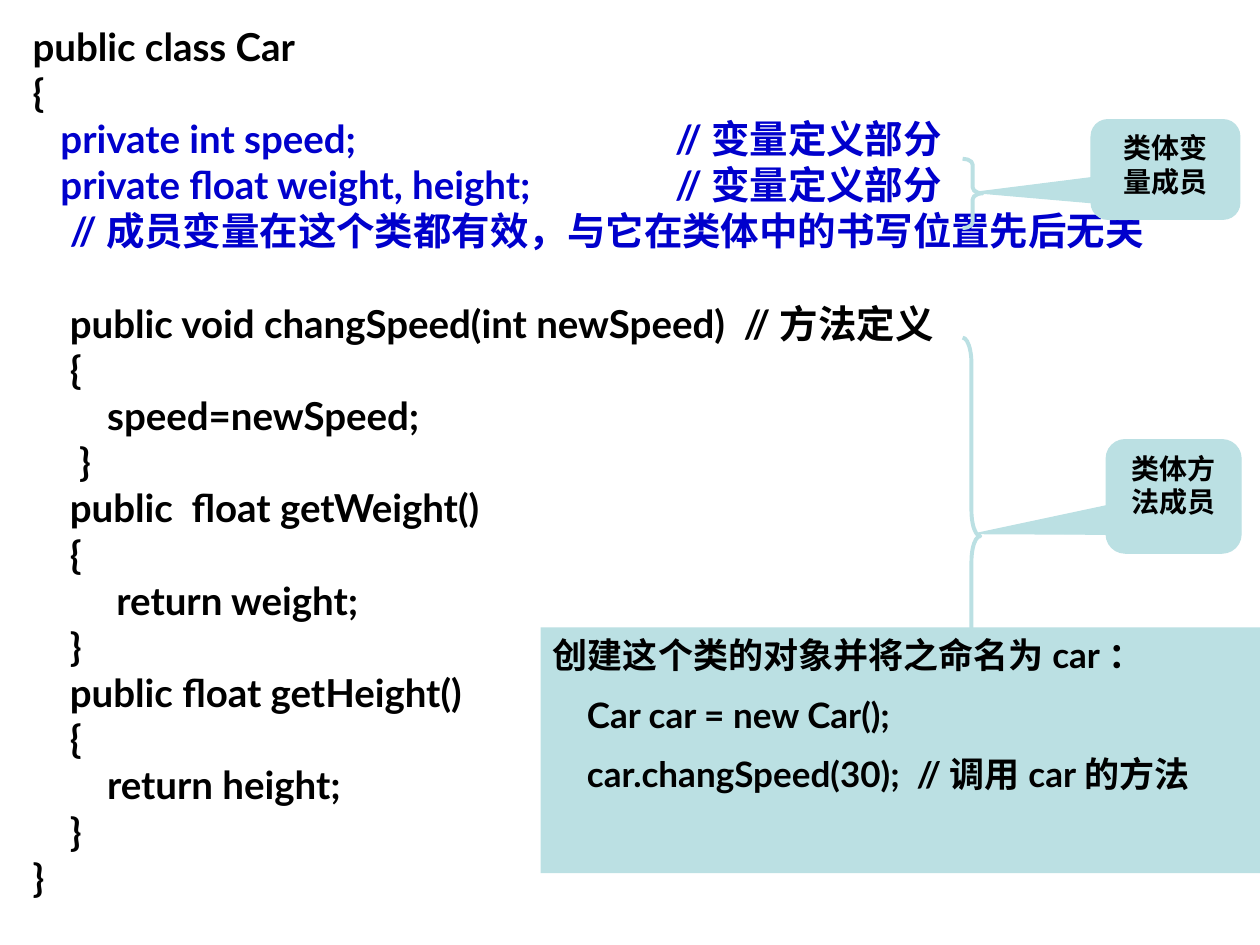
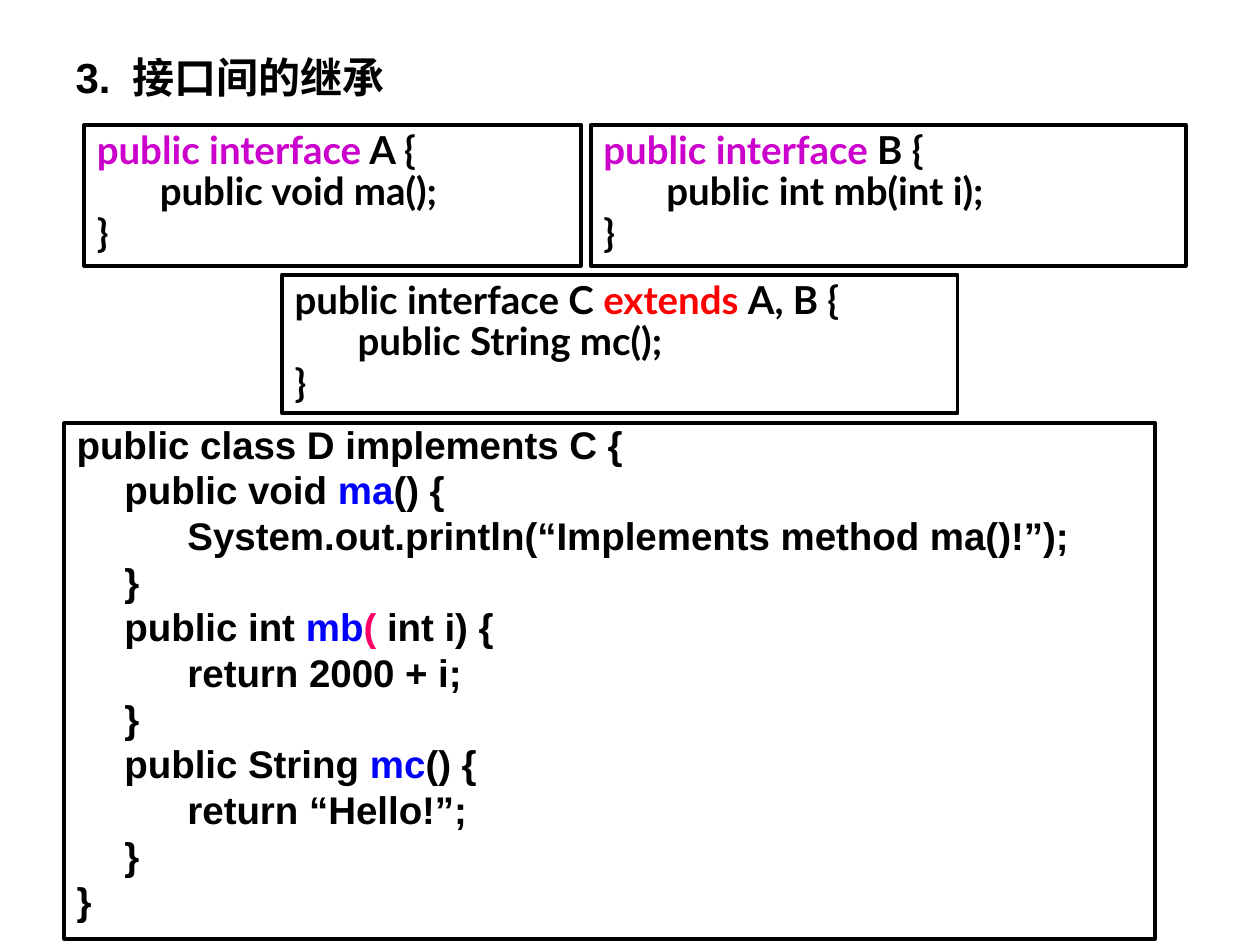
from lxml import etree
from pptx import Presentation
from pptx.dml.color import RGBColor
from pptx.enum.shapes import MSO_SHAPE as Preset
from pptx.enum.text import MSO_ANCHOR as Anchor, PP_ALIGN as Align
from pptx.oxml.ns import qn
from pptx.util import Inches, Pt

BLACK = RGBColor(0x00, 0x00, 0x00)
AQUA = RGBColor(0xBB, 0xE0, 0xE3)
NAVY = RGBColor(0x00, 0x00, 0xCC)
BLUE = RGBColor(0x00, 0x00, 0xFF)
PURPLE = RGBColor(0xCC, 0x00, 0xCC)
RED = RGBColor(0xFF, 0x00, 0x00)
PINK = RGBColor(0xFF, 0x00, 0x66)

LATO, ARIAL = "Lato", "Arial"
TITLE_ONLY, BLANK = 5, 6
COMMENT_TAB = 5.1
CODE_LINE = Pt(26.4)

CAR_FIELDS = [
    "   private int speed;\t//变量定义部分",
    "   private float weight, height;\t//变量定义部分",
    "    //成员变量在这个类都有效，与它在类体中的书写位置先后无关",
]
CAR_METHODS = [
    "    public void changSpeed(int newSpeed)  //方法定义",
    "    {",
    "        speed=newSpeed;",
    "     }",
    "    public  float getWeight()",
    "    {",
    "         return weight;",
    "    }",
    "    public float getHeight()",
    "    {",
    "        return height;",
    "    }",
    "}",
]
CAR_USAGE = [
    "创建这个类的对象并将之命名为car：",
    "    Car car = new Car();",
    "    car.changSpeed(30);  //调用car的方法",
]
CLASS_D = [
    "public class D implements C {",
    ["\tpublic void ", ("ma", BLUE), "() {"],
    "\t\tSystem.out.println(“Implements method ma()!”);",
    "\t}",
    ["\tpublic int ", ("mb", BLUE), ("( ", PINK), "int i) {"],
    "\t\treturn 2000 + i;",
    "\t}",
    ["\tpublic String ", ("mc", BLUE), "() {"],
    "\t\treturn “Hello!”;",
    "\t}",
    "}",
]


def inches(box):
    return [Inches(value) for value in box]


class Deck:
    def __init__(self):
        self.presentation = Presentation()
        self.presentation.slide_width = Inches(10)
        self.presentation.slide_height = Inches(7.5)
        self.slide = None

    def add_slide(self, layout):
        layouts = self.presentation.slide_layouts
        self.slide = self.presentation.slides.add_slide(layouts[layout])

    def fill_frame(self, frame, lines, size, font=LATO, anchor=Anchor.TOP,
                   indent=0, gap=0, **paragraph_format):
        """Set the text of a frame; a line is a string or a list of strings
        and (string, colour) pairs."""
        frame.word_wrap = True
        frame.vertical_anchor = anchor
        paragraph_format = {"alignment": Align.LEFT, **paragraph_format}
        for number, line in enumerate(lines):
            paragraph = frame.add_paragraph() if number else frame.paragraphs[0]
            if indent:
                properties = paragraph._p.get_or_add_pPr()
                properties.set("marL", str(Inches(indent)))
                properties.set("indent", str(-Inches(indent)))
            for name, value in paragraph_format.items():
                setattr(paragraph, name, value)
            if number and gap:
                paragraph.space_before = Pt(gap)
            for part in [line] if isinstance(line, (str, tuple)) else line:
                text, colour = (part, BLACK) if isinstance(part, str) else part
                run = paragraph.add_run()
                run.text = text
                style = {"name": font, "size": Pt(size), "bold": True}
                for name, value in style.items():
                    setattr(run.font, name, value)
                run.font.color.rgb = colour

    def title(self, box, text):
        title = self.slide.shapes.title
        title.left, title.top, title.width, title.height = inches(box)
        self.fill_frame(title.text_frame, [text], 24, ARIAL, Anchor.MIDDLE)

    def text(self, box, lines, size):
        frame = self.slide.shapes.add_textbox(*inches(box)).text_frame
        self.fill_frame(frame, lines, size)
        return frame

    def shape(self, preset, box, fill=None, line=None, width=2.25, adjustments=()):
        shape = self.slide.shapes.add_shape(preset, *inches(box))
        shape.shadow.inherit = False
        for index, value in enumerate(adjustments):
            shape.adjustments[index] = value
        if fill is None:
            shape.fill.background()
        else:
            shape.fill.solid()
            shape.fill.fore_color.rgb = fill
        if line is None:
            shape.line.fill.background()
        else:
            shape.line.color.rgb = line
            shape.line.width = Pt(width)
        return shape

    def callout(self, box, tip, lines):
        shape = self.shape(Preset.ROUNDED_RECTANGULAR_CALLOUT, box, AQUA, AQUA,
                           0.75, (*tip, 0.167))
        self.fill_frame(shape.text_frame, lines, 16, alignment=Align.CENTER)

    def brace(self, box, curve):
        self.shape(Preset.RIGHT_BRACE, box, line=AQUA, adjustments=(curve, 0.5))

    def code_box(self, box, lines, **text_format):
        shape = self.shape(Preset.RECTANGLE, box, line=BLACK)
        self.fill_frame(shape.text_frame, lines, 22, **text_format)

    def interface_box(self, box, heading, method):
        self.code_box(box, [heading, "\t" + method, "}"], line_spacing=0.9)


def add_tab_stop(paragraph, position):
    tabs = etree.SubElement(paragraph._p.get_or_add_pPr(), qn("a:tabLst"))
    etree.SubElement(tabs, qn("a:tab"), pos=str(Inches(position)), algn="l")


def build_car_slide(deck):
    deck.add_slide(BLANK)
    fields = [(line, NAVY) for line in CAR_FIELDS]
    code = ["public class Car", "{", *fields, *CAR_METHODS]
    paragraphs = deck.text((0.16, 0.13, 9.29, 7.2), code, 22).paragraphs
    for paragraph in paragraphs[2:4]:
        add_tab_stop(paragraph, COMMENT_TAB)
    paragraphs[-len(CAR_METHODS)].space_before = CODE_LINE

    deck.callout((8.78, 3.49, 1.07, 0.9), (-1.466, 0.328), ["类体方", "法成员"])
    deck.brace((7.64, 2.68, 0.14, 3.15), 1.454)
    deck.callout((8.66, 0.95, 1.18, 0.79), (-1.287, 0.231), ["类体变", "量成员"])
    deck.brace((7.64, 1.26, 0.16, 0.55), 0.294)

    usage = deck.shape(Preset.RECTANGLE, (4.29, 4.98, 5.87, 1.95), AQUA)
    deck.fill_frame(usage.text_frame, CAR_USAGE, 20, gap=10)


def build_interface_slide(deck):
    deck.add_slide(TITLE_ONLY)
    deck.title((0.5, 0.22, 9, 0.77), "3. 接口间的继承")
    keyword = ("public interface", PURPLE)
    deck.interface_box((4.69, 0.99, 4.72, 1.12), [keyword, " B {"],
                       "public int mb(int i);")
    deck.interface_box((0.67, 0.99, 3.94, 1.12), [keyword, " A {"],
                       "public void ma();")
    deck.interface_box((2.24, 2.18, 5.36, 1.1),
                       ["public interface C ", ("extends ", RED), "A, B {"],
                       "public String mc();")
    deck.code_box((0.51, 3.36, 8.66, 4.09), CLASS_D, font=ARIAL,
                  indent=0.38, gap=5, line_spacing=0.8)


def main():
    deck = Deck()
    build_car_slide(deck)
    build_interface_slide(deck)
    deck.presentation.save("out.pptx")


if __name__ == "__main__":
    main()
